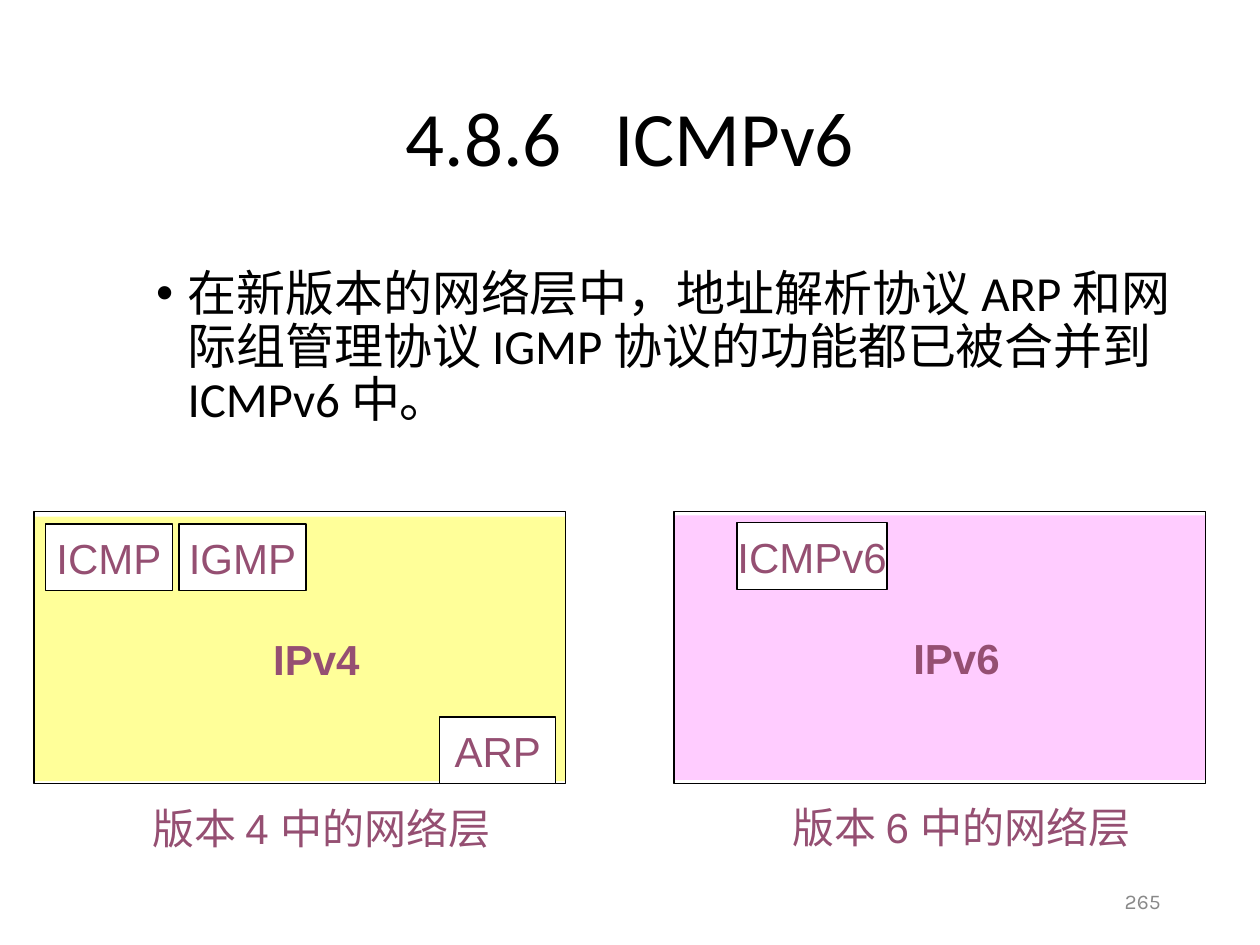
"""Build a slide comparing the network layers of IPv4 and IPv6."""
from dataclasses import dataclass

import pptx
import pptx.dml.color
import pptx.enum.shapes
import pptx.enum.text
import pptx.oxml.ns
import pptx.util
from lxml import etree

Inches = pptx.util.Inches
Pt = pptx.util.Pt
Align = pptx.enum.text.PP_ALIGN
Anchor = pptx.enum.text.MSO_ANCHOR
Area = tuple[float, float, float, float]
PLUM = "954F72"


@dataclass
class Box:
    label: str
    area: Area


@dataclass
class Layer:
    name: str
    caption: str
    color: str
    left: float
    top: float
    boxes: list[Box]


def paint(color: str) -> pptx.dml.color.RGBColor:
    return pptx.dml.color.RGBColor.from_string(color)


def place(area: Area) -> list[int]:
    return [Inches(n) for n in area]


def write(shape, text: str, *, size: float = 24, font: str = "Arial",
          color: str = PLUM, bold: bool = False, align=Align.CENTER,
          anchor=Anchor.TOP, wrap: bool = True, pitch: float = 1,
          bullet: str = "", gap: float = 0) -> None:
    frame = shape.text_frame
    frame.word_wrap = wrap
    frame.vertical_anchor = anchor
    para = frame.paragraphs[0]
    if bullet:
        props = para._p.get_or_add_pPr()
        props.set("marL", str(Inches(0.25)))
        props.set("indent", str(Inches(-0.25)))
        qn = pptx.oxml.ns.qn
        etree.SubElement(props, qn("a:buFont"), typeface="Arial")
        etree.SubElement(props, qn("a:buChar"), char=bullet)
    para.alignment = align
    para.line_spacing = pitch
    for part in text.partition(" ") if gap else [text]:
        run = para.add_run()
        run.text = part
        run.font.size = Pt(size)
        run.font.name = font
        run.font.bold = bold
        run.font.color.rgb = paint(color)
        if part == " ":
            run.font._element.set("spc", str(round(gap * 100)))


def label(slide, text: str, area: Area, **style) -> None:
    write(slide.shapes.add_textbox(*place(area)), text, **style)


def block(slide, area: Area, fill: str = "", line: str = ""):
    kind = pptx.enum.shapes.MSO_SHAPE.RECTANGLE
    shape = slide.shapes.add_shape(kind, *place(area))
    shape.shadow.inherit = False
    if fill:
        shape.fill.solid()
        shape.fill.fore_color.rgb = paint(fill)
    else:
        shape.fill.background()
    if line:
        shape.line.color.rgb = paint(line)
        shape.line.width = Pt(0.75)
    else:
        shape.line.fill.background()
    return shape


def draw(slide, layer: Layer) -> None:
    left, top = layer.left, layer.top
    note = block(slide, (left + 0.83, top + 2.22, 2.9, 0.5), "FFFFFF")
    write(note, layer.caption)
    block(slide, (left, top, 4.22, 2.1), layer.color)
    block(slide, (left, 4.06, 4.22, 2.16), line="000000")
    for box in layer.boxes:
        x, y, wide, high = box.area
        shape = block(slide, (left + x, top + y, wide, high), "FFFFFF", "000000")
        write(shape, box.label, anchor=Anchor.MIDDLE, wrap=False)
    label(slide, layer.name, (left + 1.8, top + 0.88, 0.89, 0.5),
          bold=True, align=Align.LEFT, wrap=False)


def main() -> None:
    deck = pptx.Presentation()
    deck.slide_width, deck.slide_height = Inches(10), Inches(7.5)
    slide = deck.slides.add_slide(deck.slide_layouts[6])
    label(slide, "4.8.6 ICMPv6", (0.69, 0.4, 8.62, 1.45), size=44,
          font="Calibri", color="000000", anchor=Anchor.MIDDLE,
          pitch=0.9, gap=20)
    label(slide, "在新版本的网络层中，地址解析协议 ARP 和网际组管理协议 IGMP "
          "协议的功能都已被合并到 ICMPv6 中。", (1.14, 2.09, 8.5, 1.74),
          size=28, font="Calibri", color="000000", align=Align.LEFT,
          pitch=0.9, bullet="•")
    layers = [
        Layer("IPv4", "版本 4 中的网络层", "FFFF99", 0.27, 4.1, [
            Box("ICMP", (0.09, 0.06, 1.01, 0.53)),
            Box("ARP", (3.22, 1.59, 0.92, 0.53)),
            Box("IGMP", (1.15, 0.06, 1.01, 0.53)),
        ]),
        Layer("IPv6", "版本 6 中的网络层", "FFCCFF", 5.35, 4.09, [
            Box("ICMPv6", (0.5, 0.06, 1.19, 0.53)),
        ]),
    ]
    for layer in layers:
        draw(slide, layer)
    label(slide, "265", (7.06, 6.95, 2.25, 0.4), size=12, font="Karla",
          color="898989", align=Align.RIGHT, anchor=Anchor.MIDDLE)
    deck.save("out.pptx")


if __name__ == "__main__":
    main()
